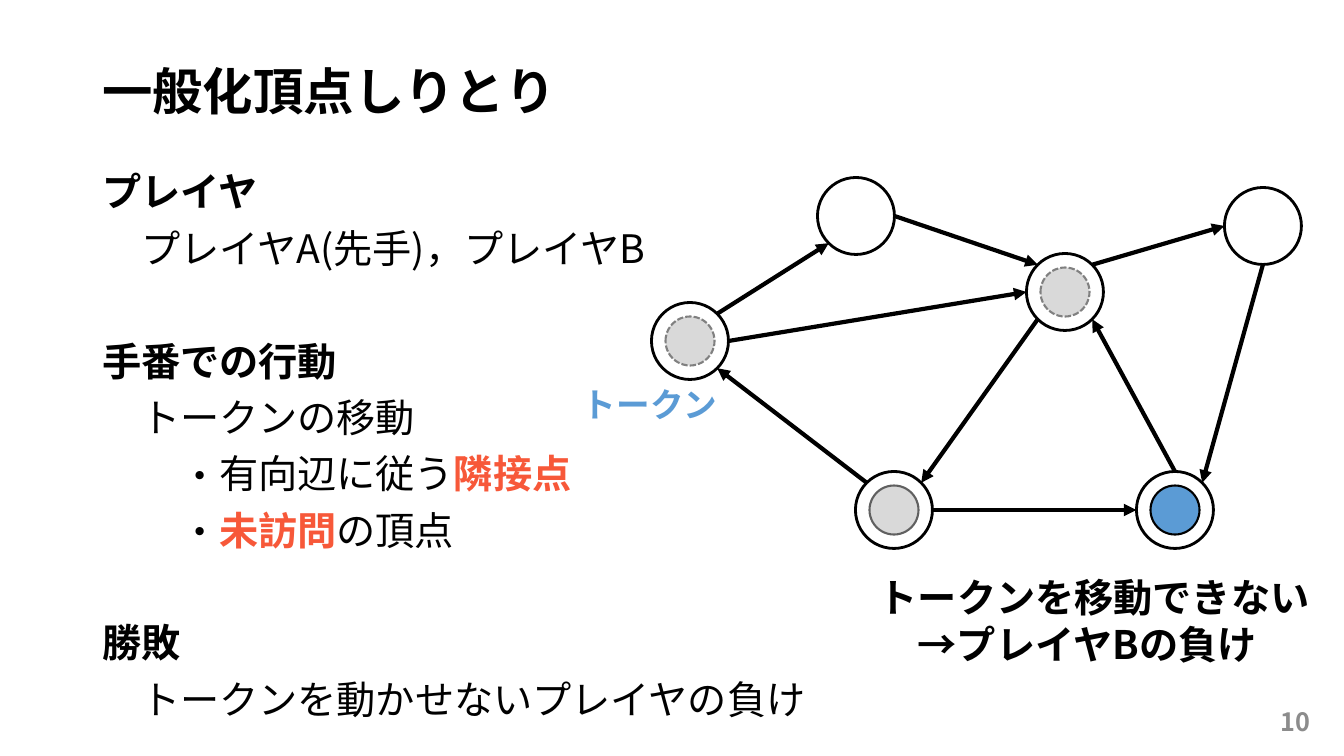
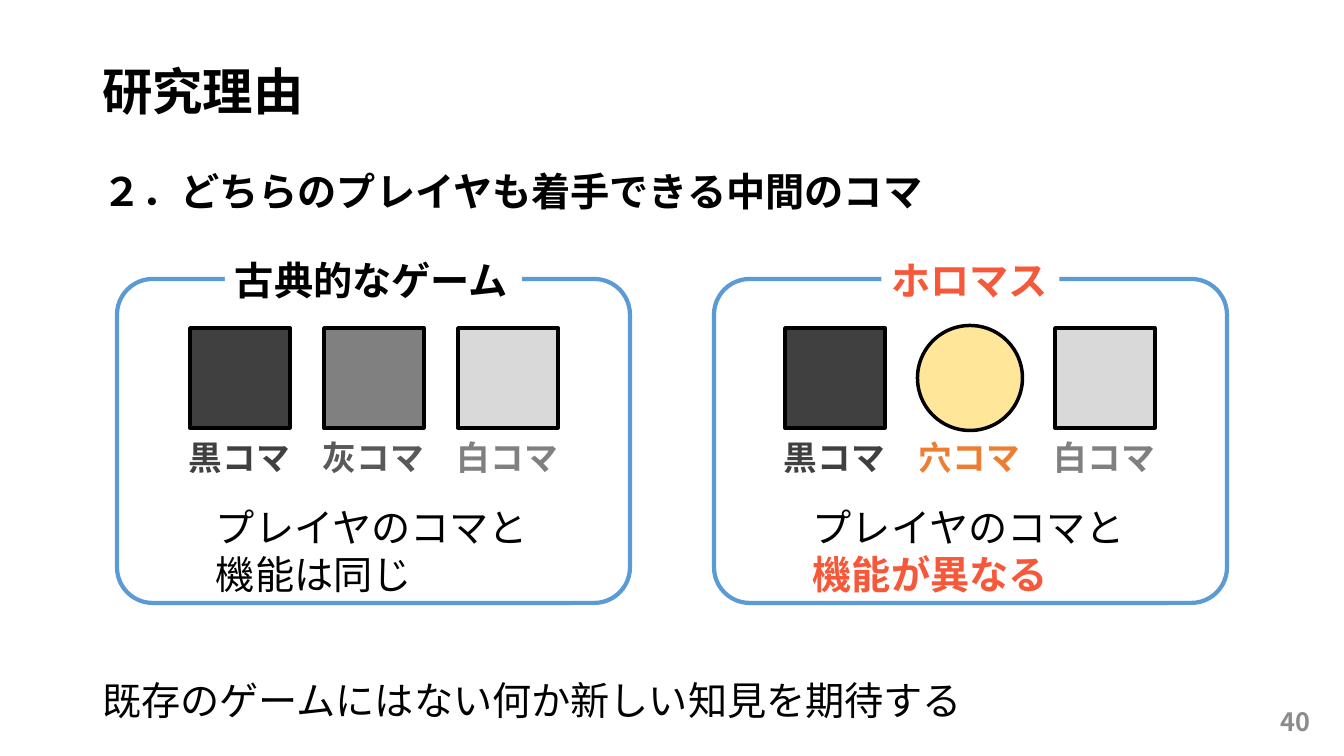
"""Builds two slides about token games on graphs and boards."""
from math import cos, radians, sin

from lxml import etree
from pptx import Presentation
from pptx import util as u
from pptx.dml.color import RGBColor
from pptx.enum import dml, shapes, text
from pptx.oxml.ns import qn

FONT = "Noto Sans CJK JP"
BLACK, WHITE, RED, BLUE = "000000", "FFFFFF", "F75839", "5B9BD5"
DARK, GREY, PALE = "404040", "808080", "D9D9D9"
EM = 39
GAP = 50.3


def px(n):
    return u.Emu(round(n * 63500 / 7))


def rgb(code):
    return RGBColor.from_string(code)


def node(parent, tag, **attrs):
    return etree.SubElement(parent, qn(tag), attrs)


def say(par, words, size=28, color=BLACK, bold=False, indent=0, dot=None,
        before=0, lead=None, align=text.PP_ALIGN.LEFT):
    """Fill a paragraph; words between asterisks are red and bold."""
    props = par._p.get_or_add_pPr()
    props.set("marL", str(px(indent + (EM if dot else 0))))
    props.set("indent", str(px(-EM if dot else 0)))
    if dot:
        node(node(props, "a:buClr"), "a:srgbClr", val=color)
        node(props, "a:buFont", typeface=FONT)
        node(props, "a:buChar", char=dot)
    else:
        node(props, "a:buNone")
    par.alignment = align
    par.space_before = u.Pt(before)
    par.line_spacing = lead
    for i, bit in enumerate(words.split("*")):
        if not bit:
            continue
        hot = i % 2 == 1
        run = par.add_run()
        run.text = bit
        font = run.font
        font.name, font.size, font.bold = FONT, u.Pt(size), bold or hot
        font.color.rgb = rgb(RED if hot else color)
        node(run._r.get_or_add_rPr(), "a:ea", typeface=FONT)


class Deck:
    def __init__(self):
        self.file = Presentation()
        self.file.slide_width, self.file.slide_height = px(1344), px(756)
        self.page = None

    def start(self, title, rows, number):
        self.page = self.file.slides.add_slide(self.file.slide_layouts[1])
        head, body = self.page.placeholders
        self.place(head, 92, 40, 1159, 108)
        self.place(body, 92, 168, 1159, 572)
        head.text_frame.vertical_anchor = text.MSO_ANCHOR.MIDDLE
        self.fill(head, [(title, {})], size=36, bold=True, lead=0.9)
        self.fill(body, rows, lead=0.9)
        self.label(str(number), 1262, 701, 58, 40, size=18, color="8C8C8C",
                   bold=True, align=text.PP_ALIGN.RIGHT)

    def place(self, item, x, y, w, h):
        item.left, item.top, item.width, item.height = map(px, (x, y, w, h))

    def fill(self, item, rows, **style):
        frame = item.text_frame
        frame.auto_size = text.MSO_AUTO_SIZE.NONE
        for i, (words, extra) in enumerate(rows):
            par = frame.add_paragraph() if i else frame.paragraphs[0]
            say(par, words, **{**style, **extra})

    def label(self, words, x, y, w, h, back=None, **style):
        box = self.page.shapes.add_textbox(*map(px, (x, y, w, h)))
        rows = [(words, {})] if isinstance(words, str) else words
        self.fill(box, rows, **style)
        box.text_frame.word_wrap = False
        if back:
            box.fill.solid()
            box.fill.fore_color.rgb = rgb(back)

    def shape(self, kind, x, y, w, h, fill=None, line=BLACK, width=2.5,
              dash=False):
        item = self.page.shapes.add_shape(kind, *map(px, (x, y, w, h)))
        item.shadow.inherit = False
        if fill:
            item.fill.solid()
            item.fill.fore_color.rgb = rgb(fill)
        else:
            item.fill.background()
        item.line.color.rgb = rgb(line)
        item.line.width = u.Pt(width)
        if dash:
            item.line.dash_style = dml.MSO_LINE.SQUARE_DOT
        return item

    def disc(self, mid, size, **style):
        x, y = mid
        self.shape(shapes.MSO_SHAPE.OVAL, x - size / 2, y - size / 2,
                   size, size, **style)

    def arrow(self, start, end):
        item = self.page.shapes.add_connector(
            shapes.MSO_CONNECTOR.STRAIGHT, *map(px, (*start, *end)))
        item.line.color.rgb = rgb(BLACK)
        item.line.width = u.Pt(3)
        node(item.line._get_or_add_ln(), "a:tailEnd", type="triangle")
        node(item._element.spPr, "a:effectLst")

    def panel(self, x, title, tint, wide, left, pitch, pieces, note):
        frame = self.shape(shapes.MSO_SHAPE.ROUNDED_RECTANGLE, x, 279, 513,
                           324, line=BLUE, width=3)
        frame.adjustments[0] = 0.11
        self.label(title, x + (513 - wide) / 2, 251, wide, 57, back=WHITE,
                   color=tint, bold=True)
        for i, (name, fill, ink, circle) in enumerate(pieces):
            at = left + pitch * i
            if circle:
                self.disc((at + 50, 378), 105, fill=fill)
            else:
                self.shape(shapes.MSO_SHAPE.RECTANGLE, at, 328, 100, 100,
                           fill=fill)
            self.label(name, at - 11, 432, 122, 50, size=24, color=ink,
                       bold=True)
        self.label([("プレイヤのコマと", {}), (note, {})],
                   x + 89, 498, 337, 105)


def rim(mid, turn):
    """Give the rim point that lies eighth-turns from the top, leftwards."""
    angle = radians(90 + 45 * turn)
    return mid[0] + 38.5 * cos(angle), mid[1] - 38.5 * sin(angle)


def graph(deck):
    bold, plain = {"bold": True}, {"indent": EM, "before": 10}
    point = {"indent": 2 * EM, "dot": "・", "before": 10}
    deck.start("一般化頂点しりとり", [
        ("プレイヤ", bold),
        ("プレイヤA(先手)，プレイヤB", plain),
        ("手番での行動", {**bold, "before": GAP}),
        ("トークンの移動", plain),
        ("有向辺に従う*隣接点*", point),
        ("*未訪問*の頂点", point),
        ("勝敗", {**bold, "before": GAP}),
        ("トークンを動かせないプレイヤの負け", plain),
    ], 10)
    spots = {"A": (690, 341), "B": (856, 216), "C": (894, 510),
             "D": (1065, 292), "E": (1175, 510), "F": (1263, 226)}
    for mid in spots.values():
        deck.disc(mid, 77, width=2)
    for a, i, b, j in ("A7B3", "B6D1", "A6D2", "D3C7", "D7F2", "C6E2",
                       "C1A5", "E0D5", "F4E7"):
        deck.arrow(rim(spots[a], int(i)), rim(spots[b], int(j)))
    for key, fill, line, dash in (("A", PALE, GREY, True),
                                  ("D", PALE, GREY, True),
                                  ("C", PALE, "606060", False),
                                  ("E", BLUE, BLACK, False)):
        deck.disc(spots[key], 49, fill=fill, line=line, width=1.5, dash=dash)
    deck.label([("トークンを移動できない", {}),
                ("→プレイヤBの負け", {"indent": EM})],
               869, 568, 456, 105, bold=True)
    deck.label("トークン", 573, 379, 156, 50, size=24, color=BLUE, bold=True)


def reason(deck):
    deck.start("研究理由", [
        ("２．どちらのプレイヤも着手できる中間のコマ", {"bold": True}),
        ("既存のゲームにはない何か新しい知見を期待する", {"before": 332.7}),
    ], 40)
    black = ("黒コマ", DARK, DARK, False)
    white = ("白コマ", PALE, GREY, False)
    deck.panel(117, "古典的なゲーム", BLACK, 297, 190, 134,
               [black, ("灰コマ", GREY, "595959", False), white],
               "機能は同じ")
    deck.panel(714, "ホロマス", RED, 178, 785, 135,
               [black, ("穴コマ", "FFE699", "ED7D31", True), white],
               "*機能が異なる*")


def main():
    deck = Deck()
    graph(deck)
    reason(deck)
    deck.file.save("out.pptx")


if __name__ == "__main__":
    main()
